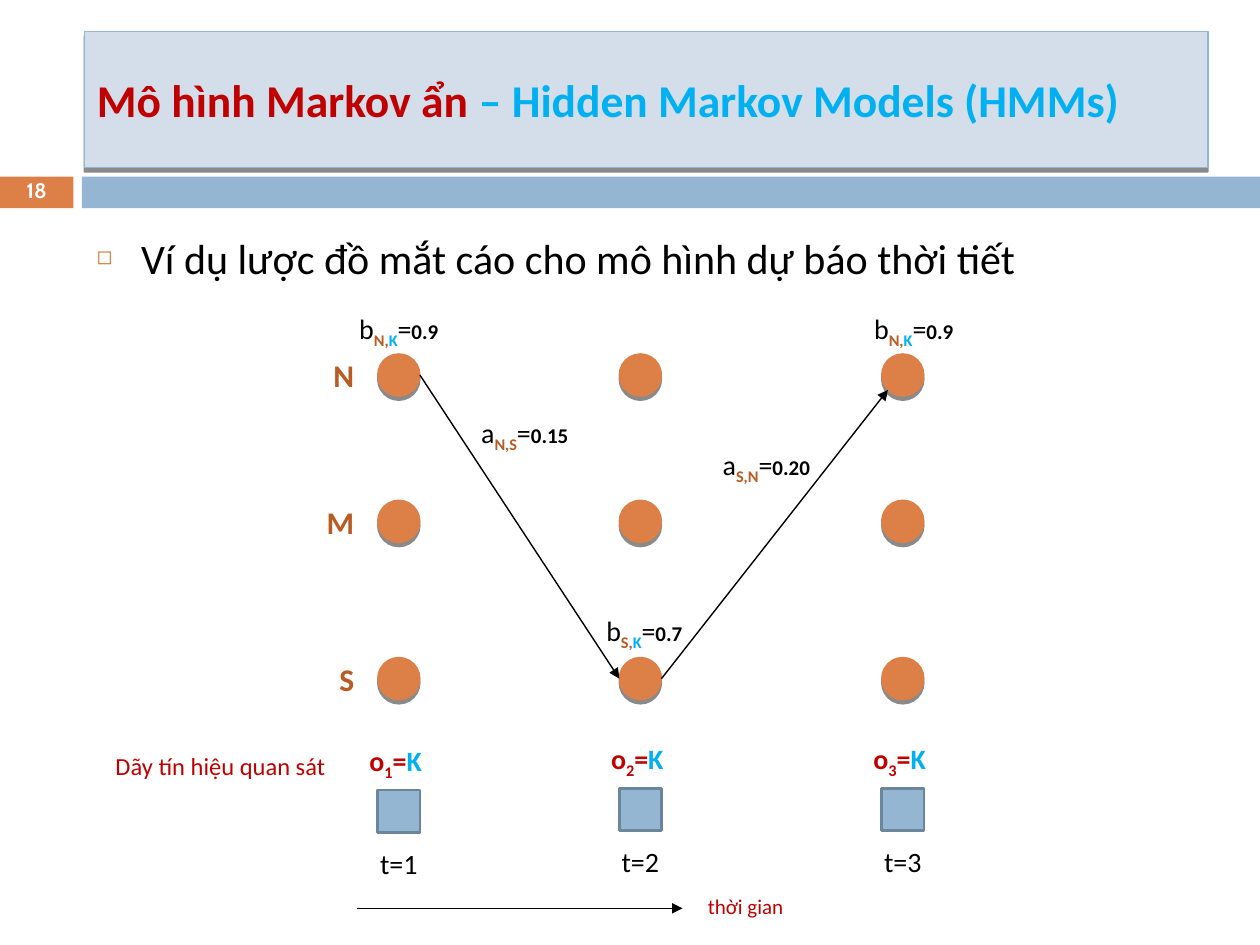
from lxml.etree import SubElement
from pptx import Presentation
from pptx.dml.color import RGBColor
from pptx.enum.shapes import MSO_CONNECTOR, MSO_SHAPE
from pptx.enum.text import MSO_ANCHOR, MSO_AUTO_SIZE, PP_ALIGN
from pptx.oxml import parse_xml
from pptx.oxml.ns import nsdecls, qn
from pptx.util import Cm, Pt

COLORS = {
    "orange": "DD8047", "brown": "B95B22", "blue": "94B6D2", "pale": "D3DEEA",
    "edge": "6B859A", "red": "C00000", "cyan": "00B0F0", "black": "000000",
    "white": "FFFFFF",
}


def color(name):
    return RGBColor.from_string(COLORS[name])


class Diagram:
    """Holds the style and the current slide; one method per kind of element."""

    font = "Calibri"
    hairline = Pt(0.79)

    def __init__(self, deck):
        self.slide = deck.slides.add_slide(deck.slide_layouts[1])

    def add_spans(self, paragraph, spans, font=None):
        """Each span is (text, colour, size, bold, subscript)."""
        for text, tint, size, bold, subscript in spans:
            span = paragraph.add_run()
            span.text = text
            span.font.name = font or self.font
            span.font.size = Pt(size)
            span.font.bold = bold
            span.font.color.rgb = color(tint)
            if subscript:
                span._r.get_or_add_rPr().set("baseline", "-25000")

    def paint(self, shape, fill, line=None, width=hairline):
        shape.fill.solid()
        shape.fill.fore_color.rgb = color(fill)
        if line:
            shape.line.color.rgb = color(line)
            shape.line.width = width
        else:
            shape.line.fill.background()

    def drop_shadow(self, shape):
        shape._element.spPr.append(parse_xml(
            f'<a:effectLst {nsdecls("a")}><a:outerShdw dist="30480" dir="5400000" '
            'algn="ctr" rotWithShape="0"><a:srgbClr val="000000">'
            '<a:alpha val="45000"/></a:srgbClr></a:outerShdw></a:effectLst>'))

    def place(self, shape, left, top, width, height):
        shape.left, shape.top = Cm(left), Cm(top)
        shape.width, shape.height = Cm(width), Cm(height)

    def title(self, spans):
        box = self.slide.shapes.title
        self.place(box, 1.7, 0.64, 22.65, 2.74)
        self.paint(box, "pale", "blue")
        self.drop_shadow(box)
        frame = box.text_frame
        frame.auto_size = MSO_AUTO_SIZE.NONE
        frame.vertical_anchor = MSO_ANCHOR.MIDDLE
        frame.paragraphs[0].alignment = PP_ALIGN.LEFT
        self.add_spans(frame.paragraphs[0], spans)

    def body(self, text):
        box = self.slide.placeholders[1]
        self.place(box, 1.7, 4.45, 22.65, 12.5)
        box.text_frame.auto_size = MSO_AUTO_SIZE.NONE
        para = box.text_frame.paragraphs[0]
        properties = para._p.get_or_add_pPr()
        properties.set("marL", str(Cm(0.89)))
        properties.set("indent", str(Cm(-0.89)))
        tint = SubElement(properties, qn("a:buClr"))
        SubElement(tint, qn("a:srgbClr"), val=COLORS["orange"])
        SubElement(properties, qn("a:buSzPct"), val="60000")
        SubElement(properties, qn("a:buChar"), char="◻")
        para.line_spacing = 1.1
        para.space_before = Pt(0)
        para.space_after = Pt(3)
        self.add_spans(para, [(text, "black", 24, False, False)])

    def shape(self, kind, left, top, width, height, fill, line=None, width_pt=0.79):
        shape = self.slide.shapes.add_shape(
            kind, Cm(left), Cm(top), Cm(width), Cm(height))
        shape.shadow.inherit = False
        self.paint(shape, fill, line, Pt(width_pt))
        return shape

    def state(self, x, y):
        dot = self.shape(MSO_SHAPE.OVAL, x - DOT / 2, y - DOT / 2, DOT, DOT,
                         "orange", "orange")
        dot.shadow.inherit = True
        self.drop_shadow(dot)

    def label(self, x, top, width, height, spans, align=PP_ALIGN.CENTER, inset=0.25):
        """Text box centred on x."""
        box = self.slide.shapes.add_textbox(
            Cm(x - width / 2), Cm(top), Cm(width), Cm(height))
        frame = box.text_frame
        frame.word_wrap = True
        frame.auto_size = MSO_AUTO_SIZE.SHAPE_TO_FIT_TEXT
        frame.margin_left = frame.margin_right = Cm(inset)
        frame.paragraphs[0].alignment = align
        self.add_spans(frame.paragraphs[0], spans)

    def probability(self, x, top, symbol, states, value, signal=None):
        spans = [(symbol, "black", 16, False, False),
                 (states, "brown", 16, True, True)]
        if signal:
            spans.append((signal, "cyan", 16, True, True))
        spans += [("=", "black", 16, False, False), (value, "black", 12, True, False)]
        self.label(x, top, 2.97, 1.04, spans)

    def page_number(self, text):
        box = self.slide.shapes.add_textbox(Cm(0), Cm(3.53), Cm(1.48), Cm(0.69))
        frame = box.text_frame
        frame.word_wrap = True
        frame.vertical_anchor = MSO_ANCHOR.MIDDLE
        para = frame.paragraphs[0]
        para.alignment = PP_ALIGN.CENTER
        para.line_spacing = 0.8
        self.add_spans(para, [(text, "white", 12, True, False)], font="Cabin")

    def arrow(self, x1, y1, x2, y2):
        arrow = self.slide.shapes.add_connector(
            MSO_CONNECTOR.STRAIGHT, Cm(x1), Cm(y1), Cm(x2), Cm(y2))
        arrow.line.color.rgb = color("black")
        arrow.line.width = self.hairline
        properties = arrow._element.spPr
        SubElement(properties.find(qn("a:ln")), qn("a:tailEnd"), type="triangle")
        SubElement(properties, qn("a:effectLst"))


DOT = 0.85
COLUMNS = (8.04, 12.91, 18.2)
ROWS = {"N": 7.56, "M": 10.51, "S": 13.68}


def main():
    deck = Presentation()
    deck.slide_width, deck.slide_height = Cm(25.4), Cm(19.05)
    diagram = Diagram(deck)

    # Heading, bands and bullet
    diagram.shape(MSO_SHAPE.RECTANGLE, 0, 3.56, 1.48, 0.64, "orange")
    diagram.shape(MSO_SHAPE.RECTANGLE, 1.65, 3.56, 23.75, 0.64, "blue")
    diagram.title([("Mô hình Markov ẩn ", "red", 26, True, False),
                   ("– Hidden Markov Models (HMMs)", "cyan", 26, True, False)])
    diagram.page_number("18")
    diagram.body("Ví dụ lược đồ mắt cáo cho mô hình dự báo thời tiết")

    # Trellis of states
    for name, y in ROWS.items():
        diagram.label(5.7, y - 0.5, 3.38, 1.02, [(name, "brown", 18, True, False)],
                      PP_ALIGN.RIGHT)
        for x in COLUMNS:
            diagram.state(x, y)

    # Observed signal at each time step; the first column sits slightly lower
    for step, (x, drop) in enumerate(zip(COLUMNS, (0.04, 0, 0)), start=1):
        diagram.label(x, 14.82 + drop, 2.12, 1.04, [
            ("o", "red", 16, True, False), (str(step), "red", 16, True, True),
            ("=", "red", 16, True, False), ("K ", "cyan", 16, True, False)])
        diagram.shape(MSO_SHAPE.RECTANGLE, x - DOT / 2, 15.89 + drop, DOT, DOT,
                      "blue", "edge", 1.5)
        diagram.label(x, 16.91 + drop, 1.7, 0.94,
                      [(f"t={step}", "black", 16, False, False)])
    diagram.label(3.92, 15.01, 5.28, 0.86,
                  [("Dãy tín hiệu quan sát", "red", 14, False, False)],
                  PP_ALIGN.RIGHT, inset=0)

    # Transitions and time axis
    first, second, third = COLUMNS
    diagram.arrow(first + DOT / 2, ROWS["N"], second - DOT / 2, ROWS["S"])
    diagram.arrow(second + DOT / 2, ROWS["S"], third - 0.3, ROWS["N"] + 0.3)
    diagram.arrow(7.2, 18.31, 13.76, 18.31)
    diagram.label(15.03, 17.88, 2.12, 0.77,
                  [("thời gian", "red", 12, False, False)], inset=0)

    # Transition and emission probabilities
    diagram.probability(10.58, 8.26, "a", "N,S", "0.15")
    diagram.probability(15.45, 8.89, "a", "S,N", "0.20")
    diagram.probability(first, 6.15, "b", "N,", "0.9", "K")
    diagram.probability(12.99, 12.24, "b", "S,", "0.7", "K")
    diagram.probability(18.42, 6.15, "b", "N,", "0.9", "K")

    deck.save("out.pptx")


if __name__ == "__main__":
    main()
